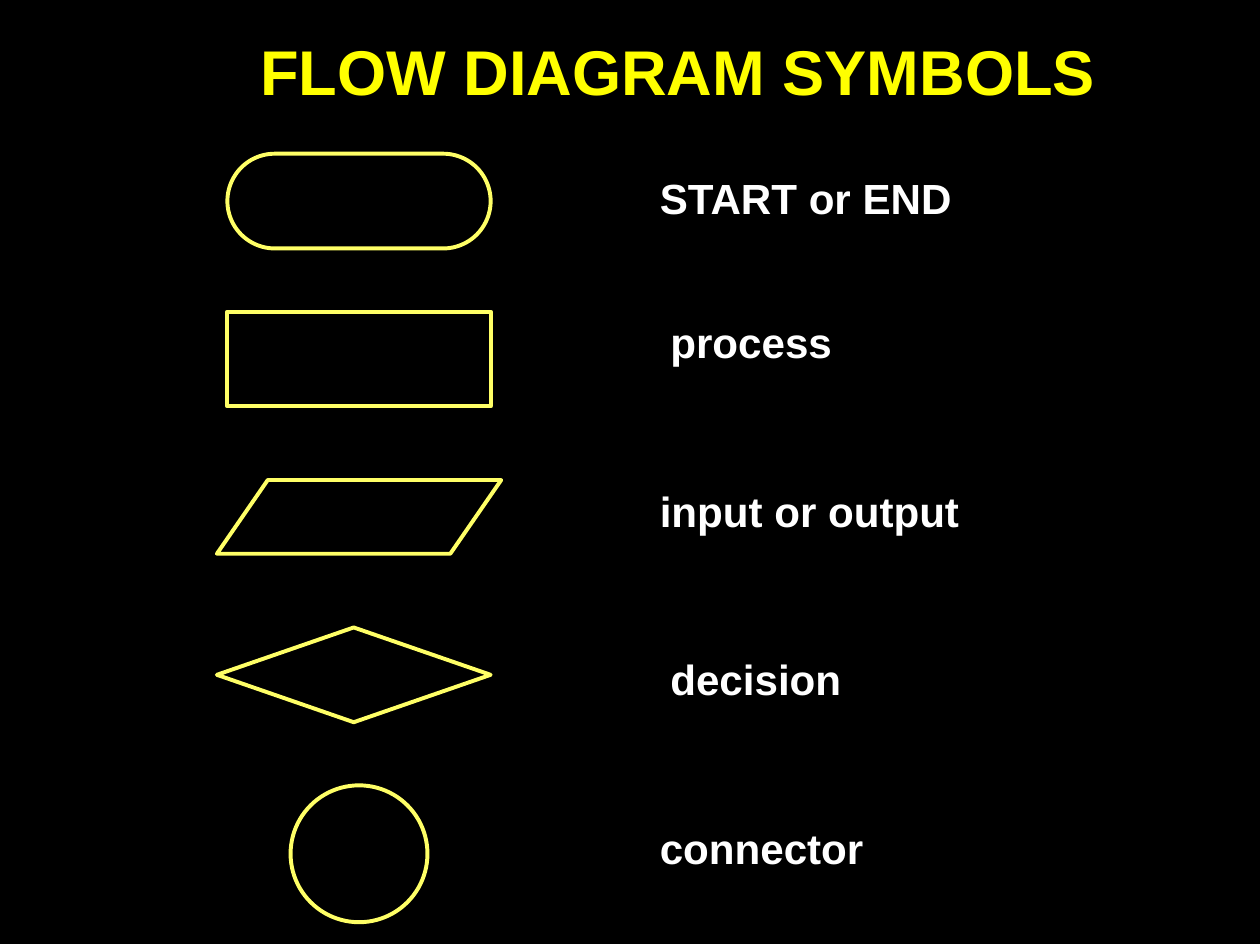
from lxml import etree
from pptx import Presentation
from pptx.dml.color import RGBColor as Rgb
from pptx.enum.shapes import MSO_SHAPE as Kind
from pptx.oxml.ns import qn
from pptx.util import Pt

# Content: kind, adjustment, box (left, top, width, height), label, label left, label top
TITLE = "FLOW DIAGRAM SYMBOLS"
SYMBOLS = [
    (Kind.ROUNDED_RECTANGLE, 0.5, (129.6, 87.6, 150, 54), "START or END", 376, 101.5),
    (Kind.RECTANGLE, None, (129.6, 177.6, 150, 54), "process", 382, 183.6),
    (Kind.PARALLELOGRAM, 0.69, (123.6, 273.6, 162, 42), "input or output", 376, 280),
    (Kind.DIAMOND, None, (123.6, 357.6, 156, 54), "decision", 382, 375.8),
    (Kind.OVAL, None, (165.6, 447.6, 78, 78), "connector", 376, 471.6),
]
COLORS = {"back": "000000", "title": "FFFF00", "line": "FFFF66", "label": "FFFFFF"}
FONT = "Arial"


def tint(name):
    return Rgb.from_string(COLORS[name])


def add_text(text, box, size, color, pitch, before):
    frame = slide.shapes.add_textbox(*map(Pt, box)).text_frame
    frame.word_wrap = True
    frame.margin_left = frame.margin_right = 0
    frame.margin_top = frame.margin_bottom = 0
    para = frame.paragraphs[0]
    para.line_spacing, para.space_before = Pt(pitch), Pt(before)
    run = para.add_run()
    run.text = text
    font = run.font
    font.name, font.size, font.bold = FONT, Pt(size), True
    font.color.rgb = tint(color)


def add_symbol(kind, adjust, box):
    shape = slide.shapes.add_shape(kind, *map(Pt, box))
    if adjust is not None:
        shape.adjustments[0] = adjust
    shape.shadow.inherit = False
    shape.fill.background()
    shape.line.color.rgb = tint("line")
    shape.line.width = Pt(2.25)
    # Round corners on the outline
    etree.SubElement(shape.line._get_or_add_ln(), qn("a:round"))


# Slide
deck = Presentation()
deck.slide_width, deck.slide_height = Pt(718), Pt(538)
slide = deck.slides.add_slide(deck.slide_layouts[6])
slide.background.fill.solid()
slide.background.fill.fore_color.rgb = tint("back")

# Title, then each symbol with its label
add_text(TITLE, (148.3, 23.8, 490, 38), 36, "title", 37.8, 1.9)
for kind, adjust, box, label, left, top in SYMBOLS:
    add_symbol(kind, adjust, box)
    add_text(label, (left, top, 190, 26), 24, "label", 25.6, 1.3)

deck.save("out.pptx")
